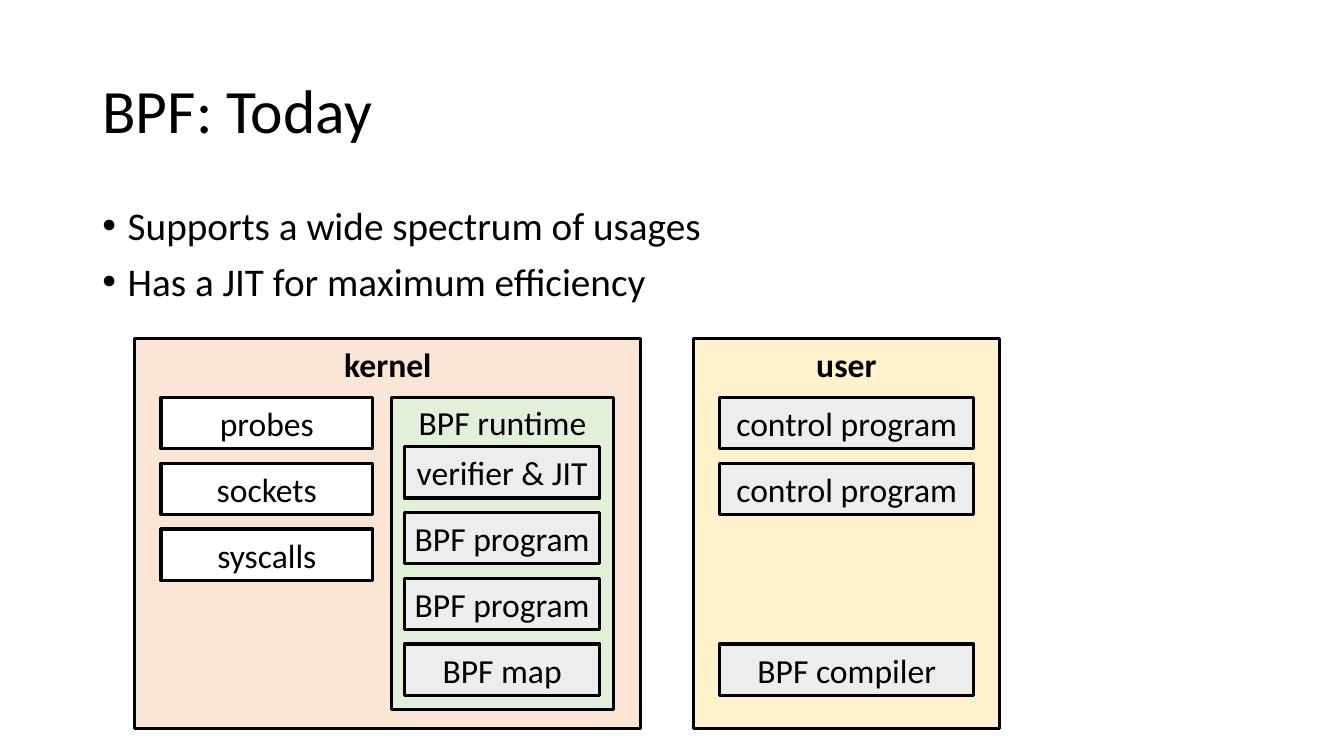
from lxml.etree import SubElement
from pptx import Presentation
from pptx.dml.color import RGBColor
from pptx.enum.shapes import MSO_SHAPE
from pptx.enum.text import MSO_ANCHOR, PP_ALIGN
from pptx.oxml.ns import qn
from pptx.util import Cm, Pt

FONT = "Calibri"
BLACK, WHITE, GREY = "000000", "FFFFFF", "EDEDED"
PEACH, GREEN, CREAM = "FBE5D6", "E2F0D9", "FFF2CC"
BOX_HEIGHT, BOX_PITCH = 1.3, 1.66
PANEL_TOP, PANEL_HEIGHT = 8.53, 9.83
BOXES_TOP, RUNTIME_BOXES_TOP = 10.01, 11.25


def color(hex_string):
    return RGBColor.from_string(hex_string)


def apply(target, formats):
    for attribute, value in formats.items():
        setattr(target, attribute, value)


def style_text(paragraph, size, bold=False):
    apply(paragraph.font, {"name": FONT, "size": Pt(size), "bold": bold})
    paragraph.font.color.rgb = color(BLACK)


def add_title(slide, text):
    title = slide.shapes.title
    apply(title, {"left": Cm(2.33), "top": Cm(1.01),
                  "width": Cm(29.21), "height": Cm(3.68)})
    title.text_frame.text = text
    title.text_frame.vertical_anchor = MSO_ANCHOR.MIDDLE
    heading = title.text_frame.paragraphs[0]
    apply(heading, {"alignment": PP_ALIGN.LEFT, "line_spacing": 0.9})
    style_text(heading, 44)


def add_bullets(slide, points):
    frame = slide.shapes.add_textbox(Cm(2.33), Cm(5.07), Cm(29.21), Cm(3.2)).text_frame
    frame.word_wrap = True
    for index, point in enumerate(points):
        paragraph = frame.add_paragraph() if index else frame.paragraphs[0]
        paragraph.text = point
        paragraph.line_spacing = 0.9
        if index:
            paragraph.space_before = Pt(10)
        properties = paragraph._p.get_or_add_pPr()
        properties.set("marL", str(Cm(0.64)))
        properties.set("indent", str(-Cm(0.64)))
        SubElement(properties, qn("a:buFont"), typeface="Arial")
        SubElement(properties, qn("a:buChar"), char="•")
        style_text(paragraph, 28)


def add_box(slide, label, left, top, width, height, fill,
            anchor=MSO_ANCHOR.MIDDLE, bold=False):
    box = slide.shapes.add_shape(MSO_SHAPE.RECTANGLE, Cm(left), Cm(top), Cm(width), Cm(height))
    box.shadow.inherit = False
    box.fill.solid()
    box.fill.fore_color.rgb = color(fill)
    box.line.color.rgb = color(BLACK)
    box.line.width = Pt(2.25)
    frame = box.text_frame
    apply(frame, {"word_wrap": True, "vertical_anchor": anchor,
                  "margin_left": 0, "margin_right": 0})
    frame.text = label
    frame.paragraphs[0].alignment = PP_ALIGN.CENTER
    style_text(frame.paragraphs[0], 24, bold)


def add_panel(slide, label, left, top, width, height, fill, bold=True):
    add_box(slide, label, left, top, width, height, fill, MSO_ANCHOR.TOP, bold)


def add_stack(slide, labels, left, top, width, fill):
    for row, label in enumerate(labels):
        add_box(slide, label, left, top + row * BOX_PITCH, width, BOX_HEIGHT, fill)


def main():
    deck = Presentation()
    apply(deck, {"slide_width": Cm(33.87), "slide_height": Cm(19.05)})
    slide = deck.slides.add_slide(deck.slide_layouts.get_by_name("Title Only"))

    add_title(slide, "BPF: Today")
    add_bullets(slide, ["Supports a wide spectrum of usages",
                        "Has a JIT for maximum efficiency"])

    add_panel(slide, "kernel", 3.4, PANEL_TOP, 12.75, PANEL_HEIGHT, PEACH)
    add_panel(slide, "BPF runtime", 9.86, BOXES_TOP, 5.61, 7.87, GREEN, bold=False)
    add_stack(slide, ["probes", "sockets", "syscalls"], 4.06, BOXES_TOP, 5.33, WHITE)
    runtime_parts = ["verifier & JIT", "BPF program", "BPF program", "BPF map"]
    add_stack(slide, runtime_parts, 10.19, RUNTIME_BOXES_TOP, 4.93, GREY)

    add_panel(slide, "user", 17.48, PANEL_TOP, 7.7, PANEL_HEIGHT, CREAM)
    add_stack(slide, ["control program"] * 2, 18.14, BOXES_TOP, 6.4, GREY)
    compiler_top = RUNTIME_BOXES_TOP + (len(runtime_parts) - 1) * BOX_PITCH
    add_stack(slide, ["BPF compiler"], 18.14, compiler_top, 6.4, GREY)

    deck.save("out.pptx")


if __name__ == "__main__":
    main()
